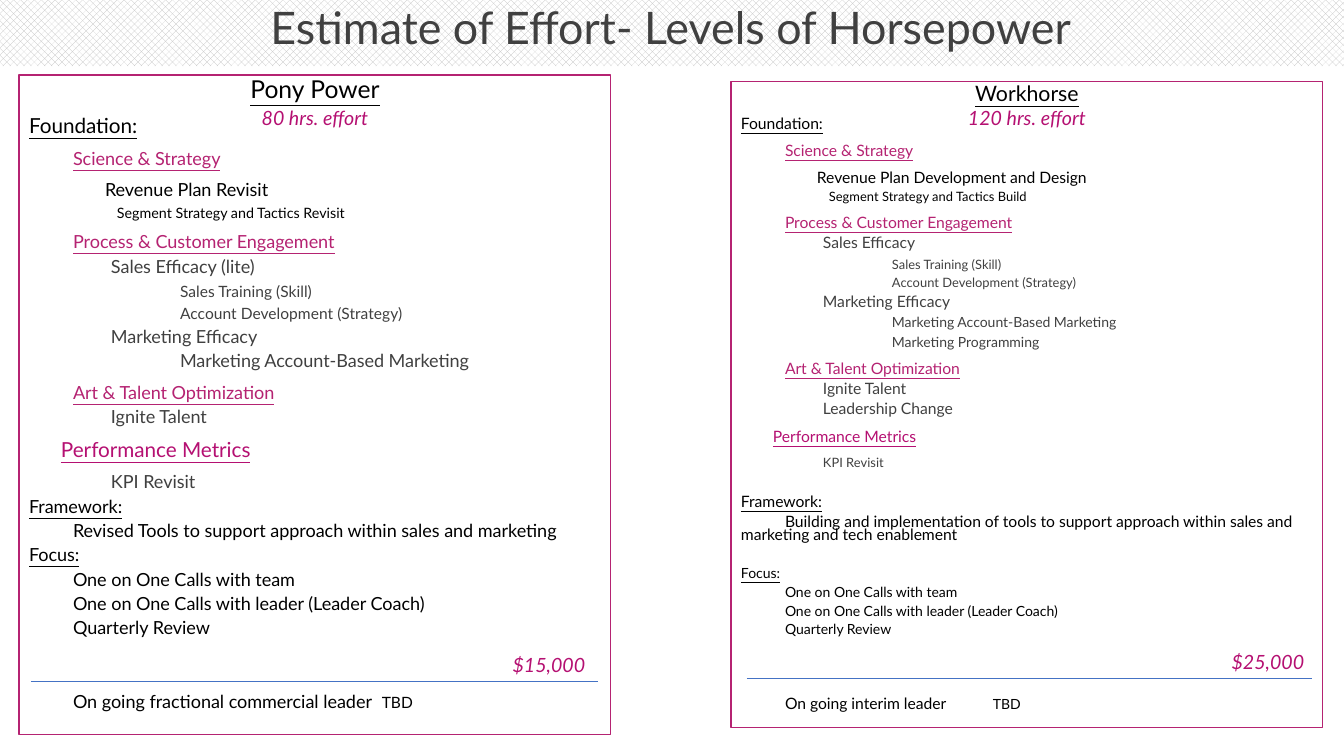
from pptx import Presentation
from pptx import util as u
from pptx.dml.color import RGBColor
from pptx.enum import dml, shapes, text
from pptx.oxml import parse_xml
from pptx.oxml.ns import nsdecls, qn

PX = 914400 / 100.8
BLACK, GREY, PINK, MAGENTA = "000000", "404040", "B52372", "B51072"


def colour(value):
    return RGBColor.from_string(value)


def box(left, top, width, height, wording, size, shade, italic=False, inset=(10, 5)):
    """Add a centred one-line text box."""
    label = slide.shapes.add_textbox(*[round(n * PX) for n in (left, top, width, height)])
    frame = label.text_frame
    frame.word_wrap = True
    frame.vertical_anchor = text.MSO_ANCHOR.MIDDLE
    frame.margin_left = frame.margin_right = round(inset[0] * PX)
    frame.margin_top = frame.margin_bottom = round(inset[1] * PX)
    frame.text = wording
    line = frame.paragraphs[0]
    line.alignment = text.PP_ALIGN.CENTER
    font = line.runs[0].font
    font.name, font.size, font.italic = "Lato", u.Pt(size), italic
    font.color.rgb = colour(shade)
    return line


deck = Presentation()
deck.slide_width, deck.slide_height = round(1344 * PX), round(756 * PX)
slide = deck.slides.add_slide(deck.slide_layouts[6])

# Patterned header band and title
band = slide.shapes.add_shape(shapes.MSO_SHAPE.RECTANGLE, 0, 0, deck.slide_width, round(66 * PX))
band.shadow.inherit = False
band.fill.patterned()
band.fill.pattern = dml.MSO_PATTERN.PERCENT_50
band.fill.fore_color.rgb = colour("BFBFBF")
band.fill.back_color.rgb = colour("FFFFFF")
band.line.fill.background()
title = box(31, 7, 1280, 47, "Estimate of Effort- Levels of Horsepower", 32, GREY, inset=(0, 0))
title.line_spacing = 0.9

# Outline levels: first-line start in px, space before in pt, colour, underline
levels = {
    "name": (0, 0, BLACK, True),
    "pillar": (0, 10, BLACK, True),
    "section": (44, 10, PINK, True),
    "plan": (76, 10, BLACK, False),
    "segment": (88, 5, BLACK, False),
    "effort": (82, 5, GREY, False),
    "detail": (151, 5, GREY, False),
    "metrics": (32, 10, MAGENTA, True),
    "kpi": (82, 10, GREY, False),
    "part": (0, 5, BLACK, True),
    "step": (44, 5, BLACK, False),
}

# Rows: level, size, wording, and a wider space before where needed
pony = [
    ("name", 17.6, "Pony Power"),
    ("pillar", 14.8, "Foundation:"),
    ("section", 12.9, "Science & Strategy"),
    ("plan", 12.9, "Revenue Plan Revisit"),
    ("segment", 10.2, "Segment Strategy and Tactics Revisit"),
    ("section", 12.9, "Process & Customer Engagement"),
    ("effort", 12.9, "Sales Efficacy (lite)"),
    ("detail", 11.1, "Sales Training (Skill)", 6.7),
    ("detail", 11.1, "Account Development (Strategy)"),
    ("effort", 12.9, "Marketing Efficacy"),
    ("detail", 12.9, "Marketing Account-Based Marketing"),
    ("section", 12.9, "Art & Talent Optimization"),
    ("effort", 12.9, "Ignite Talent"),
    ("metrics", 14.8, "Performance Metrics"),
    ("kpi", 12.9, "KPI Revisit"),
    ("part", 12.9, "Framework:"),
    ("step", 12.9, "Revised Tools to support approach within sales and marketing"),
    ("part", 12.9, "Focus:"),
    ("step", 12.9, "One on One Calls with team"),
    ("step", 12.9, "One on One Calls with leader (Leader Coach)"),
    ("step", 12.9, "Quarterly Review"),
    ("step", 12.9, "On going fractional commercial leader", 40),
]
workhorse = [
    ("name", 15.2, "Workhorse"),
    ("pillar", 11.2, "Foundation:"),
    ("section", 11.2, "Science & Strategy"),
    ("plan", 11.2, "Revenue Plan Development and Design"),
    ("segment", 9.2, "Segment Strategy and Tactics Build"),
    ("section", 11.2, "Process & Customer Engagement"),
    ("effort", 11.2, "Sales Efficacy"),
    ("detail", 9.2, "Sales Training (Skill)", 6.7),
    ("detail", 9.2, "Account Development (Strategy)"),
    ("effort", 11.2, "Marketing Efficacy"),
    ("detail", 10, "Marketing Account-Based Marketing", 6),
    ("detail", 10, "Marketing Programming", 6),
    ("section", 11.2, "Art & Talent Optimization"),
    ("effort", 11.2, "Ignite Talent"),
    ("effort", 11.2, "Leadership Change"),
    ("metrics", 11.2, "Performance Metrics"),
    ("kpi", 9.2, "KPI Revisit"),
    ("part", 11.2, "Framework:", 19.4),
    ("step", 11.2, "Building and implementation of tools to support approach "
                   "within sales and marketing and tech enablement"),
    ("part", 10, "Focus:", 18.5),
    ("step", 10, "One on One Calls with team"),
    ("step", 10, "One on One Calls with leader (Leader Coach)"),
    ("step", 10, "Quarterly Review"),
    ("step", 11.2, "On going interim leader", 44),
]

# Panels: left, top, height, line spacing, TBD tab in px, TBD size, rows
panels = [
    (19, 75, 660, 0.8, 454, 11.1, pony),
    (731, 82, 646, 0.7, 504, 10, workhorse),
]
for left, top, height, spacing, tbd_tab, tbd_size, rows in panels:
    panel = slide.shapes.add_shape(
        shapes.MSO_SHAPE.RECTANGLE, *[round(n * PX) for n in (left, top, 592, height)])
    panel.shadow.inherit = False
    panel.fill.background()
    panel.line.color.rgb = colour(PINK)
    panel.line.width = u.Pt(0.75)
    outline = panel.text_frame
    outline.word_wrap = True
    outline.vertical_anchor = text.MSO_ANCHOR.TOP
    outline.margin_left = outline.margin_right = round(10 * PX)
    outline.margin_top = outline.margin_bottom = round(5 * PX)

    for number, (level, size, wording, *gap) in enumerate(rows):
        start, before, shade, underlined = levels[level]
        row = outline.add_paragraph() if number else outline.paragraphs[0]
        row.text = wording
        row.alignment = text.PP_ALIGN.LEFT if number else text.PP_ALIGN.CENTER
        row.line_spacing = spacing
        if number:
            row.space_before = u.Pt(gap[0] if gap else before)
        properties = row._p.get_or_add_pPr()
        properties.set("marL", "0")
        properties.set("indent", str(round(start * PX)))
        if number == len(rows) - 1:
            properties.append(parse_xml(
                f'<a:tabLst {nsdecls("a")}><a:tab pos="{round(tbd_tab * PX)}" algn="l"/></a:tabLst>'))
            row.add_run().text = "\tTBD"
        for run in row.runs:
            run.font.name, run.font.size = "Lato", u.Pt(size)
            run.font.underline = underlined
            run.font.color.rgb = colour(shade)
    row.runs[-1].font.size = u.Pt(tbd_size)

# Rules above the ongoing leader rows
for left, right, y in [(31, 598, 681), (747, 1312, 678)]:
    rule = slide.shapes.add_connector(
        shapes.MSO_CONNECTOR.STRAIGHT, *[round(n * PX) for n in (left, y, right, y)])
    rule.line.color.rgb = colour("4472C4")
    rule.line.width = u.Pt(0.5)
    rule._element.spPr.append(rule._element.spPr.makeelement(qn("a:effectLst"), {}))

# Hours and fees
for left, top, width, figure in [
    (461, 648, 176, "$15,000"),
    (1180, 645, 176, "$25,000"),
    (218, 101, 194, "80 hrs. effort"),
    (930, 101, 194, "120 hrs. effort"),
]:
    box(left, top, width, 34, figure, 14, MAGENTA, italic=True)

deck.save("out.pptx")
